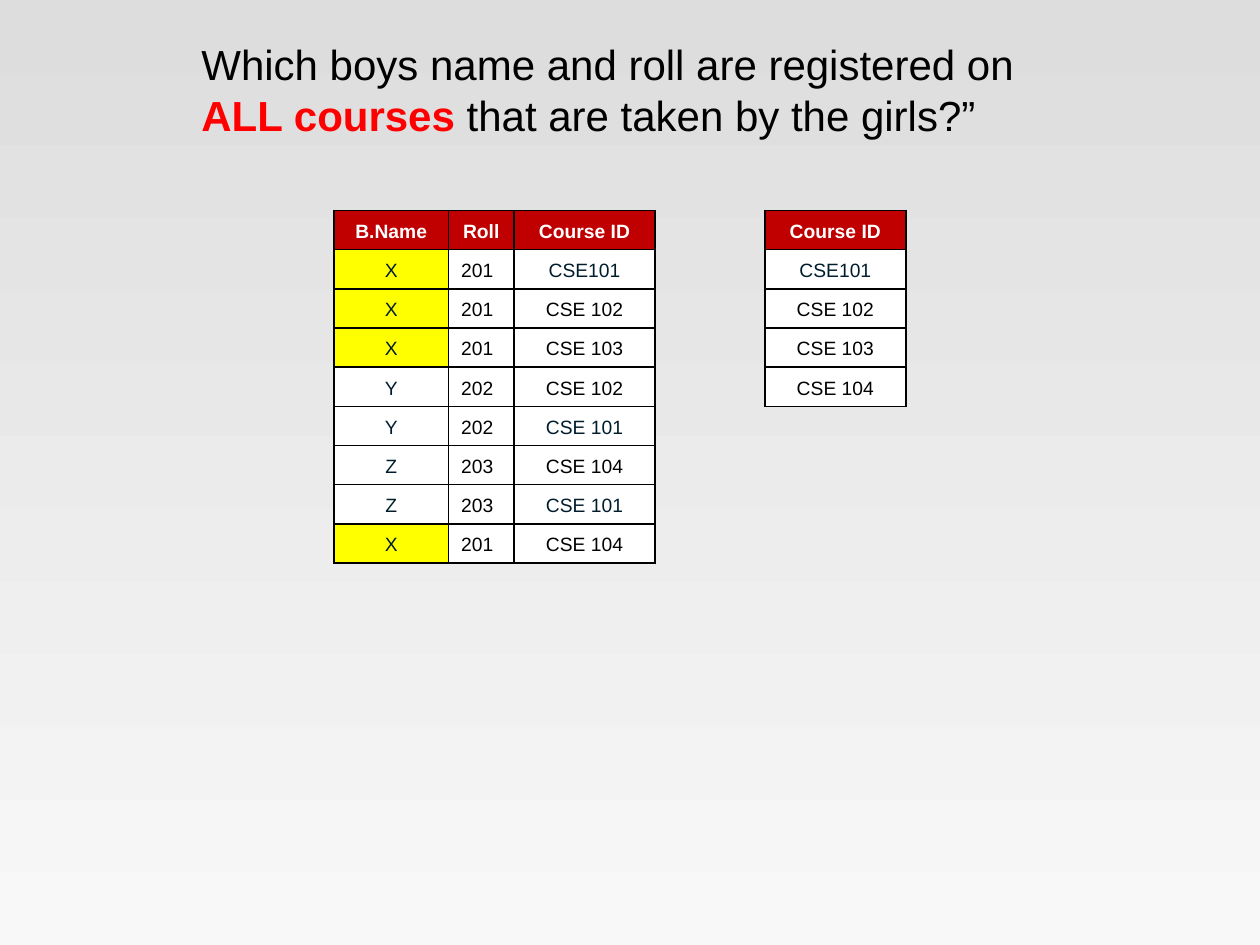
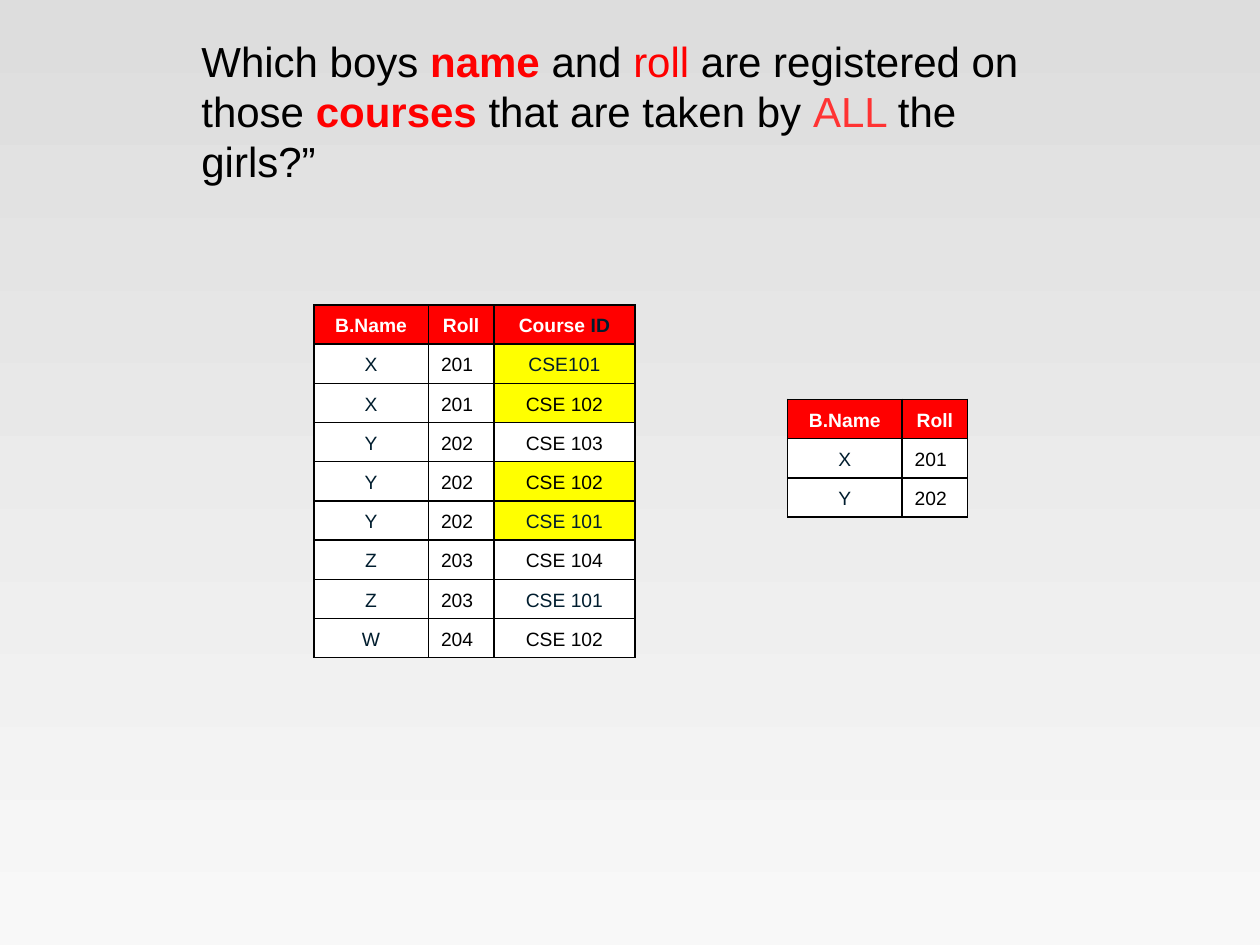
import pptx
import pptx.dml.color
import pptx.enum.text
import pptx.oxml
import pptx.util
from pptx.util import Inches

FONT = "Arial"
BLACK, WHITE, NAVY = "000000", "FFFFFF", "001D2E"
RED, SOFT_RED, DARK_RED, YELLOW = "FF0000", "FF3333", "C00000", "FFFF00"
BACKGROUND_TOP, BACKGROUND_BOTTOM = "DDDDDD", "F8F8F8"
COLUMN_WIDTHS = {"B.Name": 0.91, "Roll": 0.52, "Course ID": 1.12}
ROW_HEIGHT = Inches(2.8) // 9
DRAWING = "http://schemas.openxmlformats.org/drawingml/2006/main"


def color(hex_string):
    return pptx.dml.color.RGBColor.from_string(hex_string)


def add_run(paragraph, text, size=11, ink=BLACK, bold=False):
    run = paragraph.add_run()
    run.text = text
    run.font.name = FONT
    run.font.size = pptx.util.Pt(size)
    run.font.bold = bold
    run.font.color.rgb = color(ink)


class Deck:
    def __init__(self):
        self.presentation = pptx.Presentation()
        self.presentation.slide_width = Inches(10)
        self.presentation.slide_height = Inches(7.5)
        self.slide = None

    def add_slide(self):
        self.slide = self.presentation.slides.add_slide(self.presentation.slide_layouts[6])
        fill = self.slide.background.fill
        fill.gradient()
        fill.gradient_angle = 270
        for stop, position, shade in zip(
                fill.gradient_stops, (0, 1), (BACKGROUND_TOP, BACKGROUND_BOTTOM)):
            stop.position = position
            stop.color.rgb = color(shade)

    def add_question(self, top, height, runs):
        shape = self.slide.shapes.add_textbox(
            Inches(1.5), Inches(top), Inches(7.08), Inches(height))
        frame = shape.text_frame
        frame.word_wrap = True
        frame.auto_size = pptx.enum.text.MSO_AUTO_SIZE.SHAPE_TO_FIT_TEXT
        for text, *style in runs:
            add_run(frame.paragraphs[0], text, 24, *style)

    def add_relation(self, left, top, headings, rows, header_fill,
                     id_ink=WHITE, marked_column=None, marked_rows=()):
        widths = [Inches(COLUMN_WIDTHS[heading]) for heading in headings]
        table = self.slide.shapes.add_table(
            len(rows) + 1, len(headings), Inches(left), Inches(top),
            sum(widths), ROW_HEIGHT * (len(rows) + 1)).table
        table.first_row = table.horz_banding = False
        for column, width in zip(table.columns, widths):
            column.width = width
        for column, heading in enumerate(headings):
            first, *rest = heading.split(" ")
            runs = [(first, WHITE, True)]
            runs += [(" " + word, id_ink, True) for word in rest]
            self.fill_cell(table.cell(0, column), runs, header_fill)
        for number, row in enumerate(rows, 1):
            for column, (heading, text) in enumerate(zip(headings, row)):
                is_navy = heading == "B.Name" or text.endswith("101")
                is_marked = heading == marked_column and number in marked_rows
                self.fill_cell(
                    table.cell(number, column), [(text, NAVY if is_navy else BLACK)],
                    YELLOW if is_marked else WHITE, centered=heading != "Roll")

    def fill_cell(self, cell, runs, fill, centered=True):
        cell.vertical_anchor = pptx.enum.text.MSO_ANCHOR.MIDDLE
        paragraph = cell.text_frame.paragraphs[0]
        paragraph.line_spacing = 1.15
        alignment = pptx.enum.text.PP_ALIGN
        paragraph.alignment = alignment.CENTER if centered else alignment.LEFT
        for text, *style in runs:
            add_run(paragraph, text, 11, *style)
        properties = cell._tc.get_or_add_tcPr()
        for side in ("lnL", "lnR", "lnT", "lnB"):
            properties.append(pptx.oxml.parse_xml(
                f'<a:{side} xmlns:a="{DRAWING}" w="12700"><a:solidFill>'
                f'<a:srgbClr val="{BLACK}"/></a:solidFill></a:{side}>'))
        cell.fill.solid()
        cell.fill.fore_color.rgb = color(fill)


def add_all_courses_slide(deck):
    deck.add_slide()
    deck.add_question(0.26, 0.91, [
        ("Which boys name and roll are registered on ",),
        ("ALL courses ", RED, True),
        ("that are taken by the girls?”",),
    ])
    girl_courses = [("CSE101",), ("CSE 102",), ("CSE 103",), ("CSE 104",)]
    deck.add_relation(6.07, 1.67, ["Course ID"], girl_courses, DARK_RED)
    registrations = [
        ("X", "201", "CSE101"),
        ("X", "201", "CSE 102"),
        ("X", "201", "CSE 103"),
        ("Y", "202", "CSE 102"),
        ("Y", "202", "CSE 101"),
        ("Z", "203", "CSE 104"),
        ("Z", "203", "CSE 101"),
        ("X", "201", "CSE 104"),
    ]
    deck.add_relation(2.65, 1.67, list(COLUMN_WIDTHS), registrations, DARK_RED,
                      marked_column="B.Name", marked_rows=(1, 2, 3, 8))


def add_all_girls_slide(deck):
    deck.add_slide()
    deck.add_question(0.23, 1.31, [
        ("Which boys ",),
        ("name", RED, True),
        (" and",),
        (" roll ", RED),
        ("are registered on those ",),
        ("courses", RED, True),
        (" that are taken by ",),
        ("ALL ", SOFT_RED),
        ("the girls?”",),
    ])
    registrations = [
        ("X", "201", "CSE101"),
        ("X", "201", "CSE 102"),
        ("Y", "202", "CSE 103"),
        ("Y", "202", "CSE 102"),
        ("Y", "202", "CSE 101"),
        ("Z", "203", "CSE 104"),
        ("Z", "203", "CSE 101"),
        ("W", "204", "CSE 102"),
    ]
    deck.add_relation(2.49, 2.42, list(COLUMN_WIDTHS), registrations, RED, id_ink=NAVY,
                      marked_column="Course ID", marked_rows=(1, 2, 4, 5))
    deck.add_relation(6.25, 3.17, ["B.Name", "Roll"], [("X", "201"), ("Y", "202")], RED)


def main():
    deck = Deck()
    add_all_courses_slide(deck)
    add_all_girls_slide(deck)
    deck.presentation.save("out.pptx")


if __name__ == "__main__":
    main()
